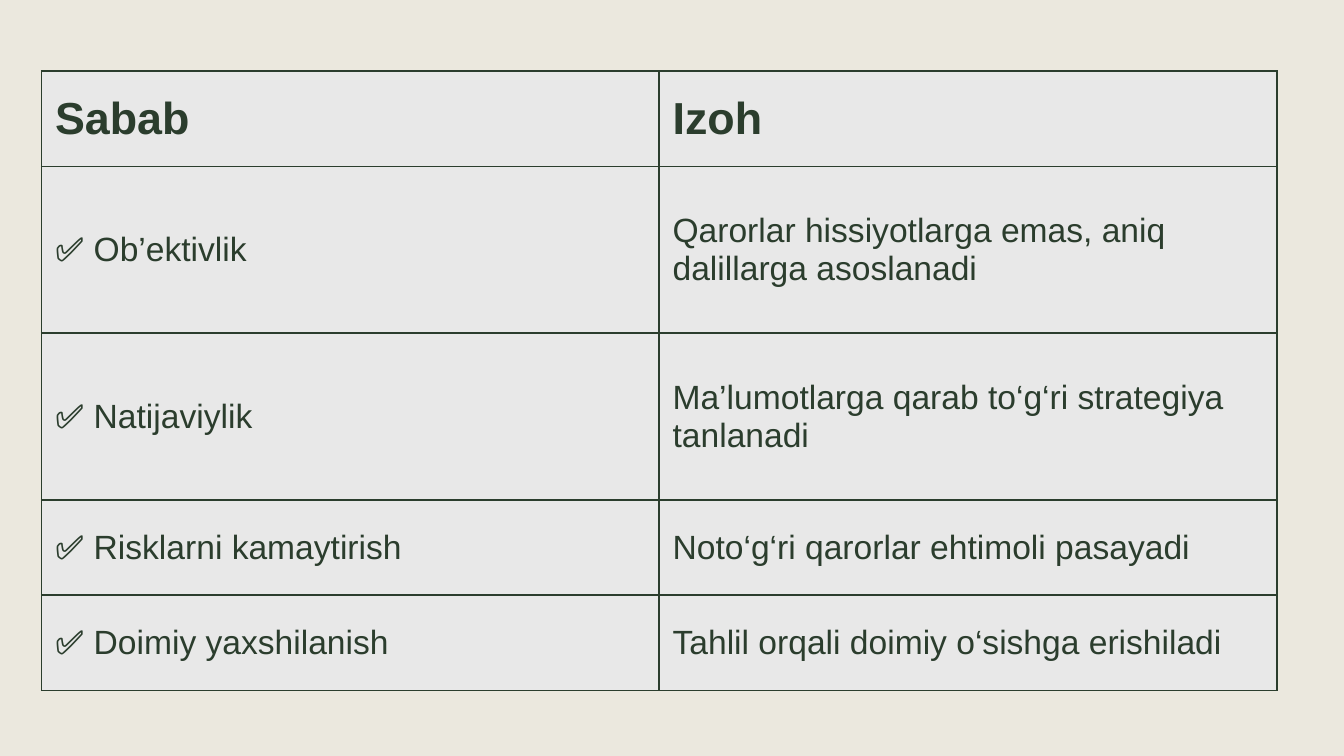
from lxml import etree
from pptx import Presentation
from pptx.dml.color import RGBColor
from pptx.enum.text import MSO_ANCHOR
from pptx.oxml.ns import qn
from pptx.util import Inches, Pt

MIDDLE = MSO_ANCHOR.MIDDLE
INK, PAPER, PANEL = "2B3D2D", "EBE8DE", "E8E8E8"
HEAD = {"name": "Arial", "size": Pt(24), "bold": True}
BODY = {"name": "Arial", "size": Pt(18), "bold": False}

ROWS = [
    (0.71, "Sabab", "Izoh"),
    (1.24, "✅ Ob’ektivlik", "Qarorlar hissiyotlarga emas, aniq dalillarga asoslanadi"),
    (1.24, "✅ Natijaviylik", "Ma’lumotlarga qarab to‘g‘ri strategiya tanlanadi"),
    (0.71, "✅ Risklarni kamaytirish", "Noto‘g‘ri qarorlar ehtimoli pasayadi"),
    (0.71, "✅ Doimiy yaxshilanish", "Tahlil orqali doimiy o‘sishga erishiladi"),
]


def color(hex):
    return RGBColor.from_string(hex)


class Page:
    """Holds the style and the current slide."""

    def __init__(self, deck):
        self.slide = deck.slides.add_slide(deck.slide_layouts[6])
        fill = self.slide.background.fill
        fill.solid()
        fill.fore_color.rgb = color(PAPER)

    def border(self, cell):
        props = cell._tc.get_or_add_tcPr()
        for spot, side in enumerate(("a:lnL", "a:lnR", "a:lnT", "a:lnB")):
            line = etree.Element(qn(side), w=str(Pt(1)))
            solid = etree.SubElement(line, qn("a:solidFill"))
            etree.SubElement(solid, qn("a:srgbClr"), val=INK)
            props.insert(spot, line)

    def cell(self, cell, text, style):
        cell.text = text
        cell.vertical_anchor = MIDDLE
        cell.fill.solid()
        cell.fill.fore_color.rgb = color(PANEL)
        font = cell.text_frame.paragraphs[0].runs[0].font
        font.color.rgb = color(INK)
        for key, value in style.items():
            setattr(font, key, value)
        self.border(cell)

    def table(self, left, top, width, rows):
        height = sum(row[0] for row in rows)
        table = self.slide.shapes.add_table(
            len(rows), 2, Inches(left), Inches(top), Inches(width), Inches(height)
        ).table
        for i, (tall, *texts) in enumerate(rows):
            table.rows[i].height = Inches(tall)
            for j, text in enumerate(texts):
                self.cell(table.cell(i, j), text, BODY if i else HEAD)


def main():
    deck = Presentation()
    deck.slide_width = Inches(10)
    deck.slide_height = deck.slide_width * 9 // 16
    Page(deck).table(0.31, 0.53, 9.19, ROWS)
    deck.save("out.pptx")


if __name__ == "__main__":
    main()
